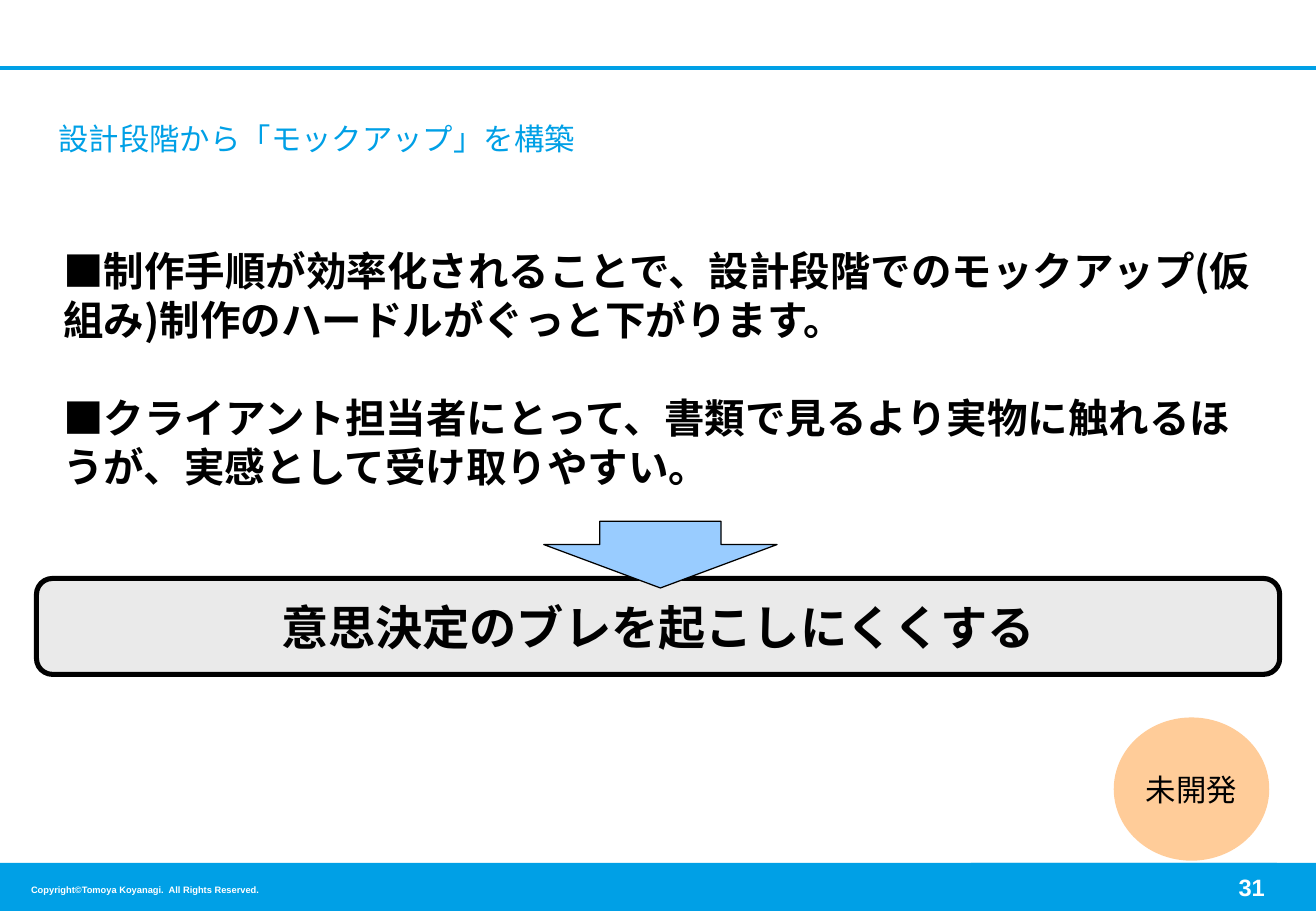
"""Build the slide on mock-ups from the design stage."""
from lxml.etree import SubElement
from pptx import Presentation
from pptx.dml.color import RGBColor
from pptx.enum.shapes import MSO_CONNECTOR, MSO_SHAPE
from pptx.enum.text import MSO_ANCHOR, MSO_AUTO_SIZE, PP_ALIGN
from pptx.oxml.ns import qn
from pptx.util import Inches, Pt

HUES = {"blue": "00A0E6", "white": "FFFFFF", "black": "000000",
        "grey": "EAEAEA", "sky": "99CCFF", "peach": "FFCC99"}
NOTO = "Noto Sans CJK JP"

deck = Presentation()
deck.slide_width, deck.slide_height = Inches(10.83), Inches(7.5)
slide = deck.slides.add_slide(deck.slide_layouts[5])
shapes = slide.shapes


def place(left, top, width, height):
    """Turn percentages of the slide into lengths."""
    across, down = deck.slide_width / 100, deck.slide_height / 100
    return int(left * across), int(top * down), int(width * across), int(height * down)


def write(shape, lines, size, hue, bold=False, font="Arial",
          align=PP_ALIGN.LEFT, anchor=MSO_ANCHOR.MIDDLE, wrap=True):
    """Fill a shape with text and format its runs."""
    frame = shape.text_frame
    frame.text = lines
    frame.word_wrap = wrap
    frame.auto_size = MSO_AUTO_SIZE.NONE
    frame.vertical_anchor = anchor
    for para in frame.paragraphs:
        para.alignment = align
        for run in para.runs:
            run.font.name, run.font.size, run.font.bold = font, Pt(size), bold
            run.font.color.rgb = RGBColor.from_string(HUES[hue])
            SubElement(run.font._element, qn("a:ea")).set("typeface", NOTO)


left, top, width, height = place(0, 7.47, 100, 0)
rule = shapes.add_connector(MSO_CONNECTOR.STRAIGHT, left, top, left + width, top)
rule.line.color.rgb = RGBColor.from_string(HUES["blue"])
rule.line.width = Pt(2.25)
SubElement(rule._element.spPr, qn("a:effectLst"))

forms = {}
for name, kind, box, fill, weight in [
    ("band", MSO_SHAPE.RECTANGLE, (0, 94.72, 100, 5.28), "blue", 0),
    ("claim", MSO_SHAPE.ROUNDED_RECTANGLE, (2.77, 63.5, 94.47, 10.53), "grey", 3),
    ("arrow", MSO_SHAPE.DOWN_ARROW, (41.32, 57.22, 17.73, 7.33), "sky", 0.75),
    ("badge", MSO_SHAPE.OVAL, (84.63, 78.75, 11.82, 15.73), "peach", 0),
]:
    form = forms[name] = shapes.add_shape(kind, *place(*box))
    form.shadow.inherit = False
    form.fill.solid()
    form.fill.fore_color.rgb = RGBColor.from_string(HUES[fill])
    if weight:
        form.line.color.rgb = RGBColor.from_string(HUES["black"])
        form.line.width = Pt(weight)
    else:
        form.line.fill.background()

forms["arrow"].adjustments[0] = 0.52
forms["arrow"].adjustments[1] = 0.65
write(forms["claim"], "意思決定のブレを起こしにくくする", 28, "black", True,
      align=PP_ALIGN.CENTER, wrap=False)
write(forms["badge"], "未開発", 18, "black", align=PP_ALIGN.CENTER, wrap=False)

title = shapes.title
title.left, title.top, title.width, title.height = place(3.51, 12.07, 92.06, 6.13)
write(title, "設計段階から「モックアップ」を構築", 18, "blue", font=NOTO)

body = shapes.add_textbox(*place(3.9, 26.3, 92.52, 33.33))
write(body, "■制作手順が効率化されることで、設計段階でのモックアップ(仮組み)制作のハードルがぐっと下がります。\n"
      "■クライアント担当者にとって、書類で見るより実物に触れるほうが、実感として受け取りやすい。",
      24, "black", True, NOTO, anchor=MSO_ANCHOR.TOP)
for para in body.text_frame.paragraphs:
    para.line_spacing = Pt(29)
body.text_frame.paragraphs[1].space_before = Pt(29)

credit = shapes.add_textbox(*place(1.45, 96.4, 19.57, 2.53))
write(credit, "Copyright©Tomoya Koyanagi.  All Rights Reserved.", 5.5, "white", True, wrap=False)

number = shapes.add_textbox(*place(73.78, 94.72, 23.25, 5.28))
write(number, "31", 14, "white", True, align=PP_ALIGN.RIGHT)

for label in (credit, number):
    label.fill.solid()
    label.fill.fore_color.rgb = RGBColor.from_string(HUES["blue"])

deck.save("out.pptx")
